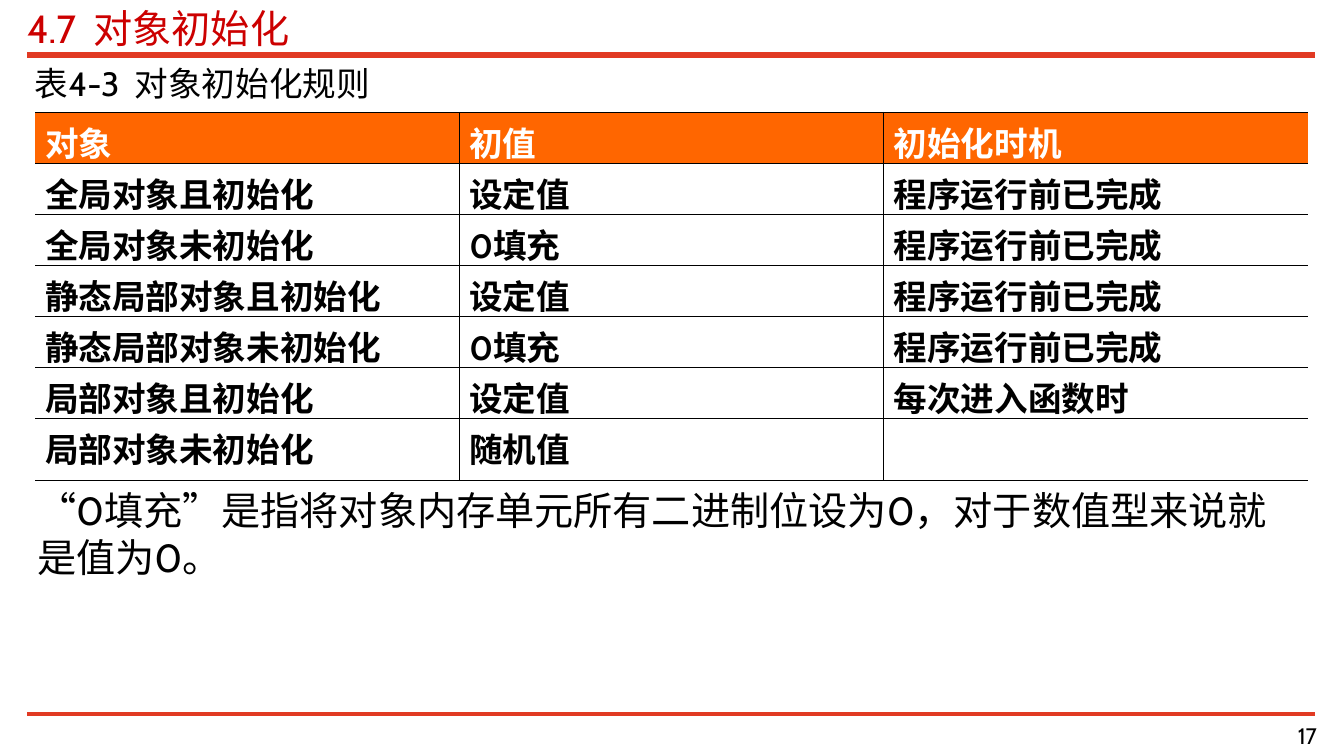
"""Build the slide on object initialization rules."""
import pptx
import pptx.dml.color
import pptx.enum.shapes
import pptx.enum.text
import pptx.oxml
import pptx.oxml.ns
import pptx.util

HEADING = "4.7  对象初始化"
CAPTION = "表4-3  对象初始化规则"
RULES = [
    ("对象", "初值", "初始化时机"),
    ("全局对象且初始化", "设定值", "程序运行前已完成"),
    ("全局对象未初始化", "0填充", "程序运行前已完成"),
    ("静态局部对象且初始化", "设定值", "程序运行前已完成"),
    ("静态局部对象未初始化", "0填充", "程序运行前已完成"),
    ("局部对象且初始化", "设定值", "每次进入函数时"),
    ("局部对象未初始化", "随机值", ""),
]
REMARK = "“0填充”是指将对象内存单元所有二进制位设为0，对于数值型来说就是值为0。"
PAGE_NUMBER = "17"

COLORS = {"rule": "E13A23", "heading": "CC0000", "text": "000000",
          "header_fill": "FF6600", "header_text": "FFFFFF"}
FONT = "Cabin"
SLIDE_SIZE = (1343, 755)
RULE_LEFT, RULE_RIGHT = 27, 1314
RULE_LINES = [(55, 4), (713, 3)]
TABLE_LEFT, TABLE_TOP = 35, 112
COLUMN_WIDTH, ROW_HEIGHT, LAST_ROW_HEIGHT = 424, 51, 62


def px(length):
    return pptx.util.Emu(length * 9080)


def rgb(name):
    return pptx.dml.color.RGBColor.from_string(COLORS[name])


def write(frame, text, size, color, margins=(0, 0), align=None):
    frame.word_wrap = True
    frame.margin_left = frame.margin_right = px(margins[0])
    frame.margin_top = frame.margin_bottom = px(margins[1])
    add_run(frame.paragraphs[0], text, size, color)
    frame.paragraphs[0].alignment = align or pptx.enum.text.PP_ALIGN.LEFT


def add_run(paragraph, text, size, color, bold=False):
    run = paragraph.add_run()
    run.text = text
    run.font.name = FONT
    run.font.size = pptx.util.Pt(size)
    run.font.bold = bold
    run.font.color.rgb = rgb(color)


def place(shape, left, top, width, height):
    shape.left, shape.top = px(left), px(top)
    shape.width, shape.height = px(width), px(height)


def add_text(slide, box, *args, **options):
    frame = slide.shapes.add_textbox(*map(px, box)).text_frame
    write(frame, *args, **options)


def add_rule(slide, y, weight):
    rule = slide.shapes.add_connector(
        pptx.enum.shapes.MSO_CONNECTOR.STRAIGHT,
        px(RULE_LEFT), px(y), px(RULE_RIGHT), px(y))
    rule.line.color.rgb = rgb("rule")
    rule.line.width = pptx.util.Pt(weight)
    rule._element.spPr.append(pptx.oxml.parse_xml(
        f'<a:effectLst {pptx.oxml.ns.nsdecls("a")}/>'))


def set_borders(cell, weights):
    properties = cell._tc.get_or_add_tcPr()
    for index, (side, weight) in enumerate(zip("LRTB", weights)):
        fill = (f'<a:solidFill><a:srgbClr val="{COLORS["text"]}"/></a:solidFill>'
                if weight else "<a:noFill/>")
        properties.insert(index, pptx.oxml.parse_xml(
            f'<a:ln{side} {pptx.oxml.ns.nsdecls("a")} '
            f'w="{int(pptx.util.Pt(weight))}">{fill}</a:ln{side}>'))


def add_rules_table(slide):
    last_row, last_column = len(RULES) - 1, len(RULES[0]) - 1
    table = slide.shapes.add_table(
        len(RULES), len(RULES[0]), px(TABLE_LEFT), px(TABLE_TOP),
        px(COLUMN_WIDTH * len(RULES[0])),
        px(ROW_HEIGHT * last_row + LAST_ROW_HEIGHT)).table
    table.first_row = table.horz_banding = False
    for column in table.columns:
        column.width = px(COLUMN_WIDTH)
    for r, values in enumerate(RULES):
        table.rows[r].height = px(LAST_ROW_HEIGHT if r == last_row else ROW_HEIGHT)
        for c, value in enumerate(values):
            cell = table.cell(r, c)
            cell.margin_left = cell.margin_right = px(10)
            cell.margin_top = cell.margin_bottom = px(5)
            if r == 0:
                cell.fill.solid()
                cell.fill.fore_color.rgb = rgb("header_fill")
            else:
                cell.fill.background()
            if value:
                add_run(cell.text_frame.paragraphs[0], value, 24,
                        "text" if r else "header_text", True)
            set_borders(cell, (0.45 if c else 0,
                               0.45 if c < last_column else 0,
                               0.62 if r < 2 else 0.45,
                               0.62 if r in (0, last_row) else 0.45))


def main():
    deck = pptx.Presentation()
    deck.slide_width, deck.slide_height = map(px, SLIDE_SIZE)
    slide = deck.slides.add_slide(deck.slide_layouts[5])
    for y, weight in RULE_LINES:
        add_rule(slide, y, weight)

    title = slide.shapes.title
    place(title, RULE_LEFT, 4, RULE_RIGHT - RULE_LEFT, 47)
    title.text_frame.auto_size = pptx.enum.text.MSO_AUTO_SIZE.NONE
    title.text_frame.vertical_anchor = pptx.enum.text.MSO_ANCHOR.MIDDLE
    write(title.text_frame, HEADING, 28, "heading")

    add_text(slide, (TABLE_LEFT, 63, 1273, 40), CAPTION, 24, "text")
    add_rules_table(slide)
    add_text(slide, (RULE_LEFT, 481, RULE_RIGHT - RULE_LEFT, 221), REMARK, 28,
             "text", margins=(10, 5))
    add_text(slide, (1046, 721, 270, 31), PAGE_NUMBER, 16, "text",
             align=pptx.enum.text.PP_ALIGN.RIGHT)
    deck.save("out.pptx")


if __name__ == "__main__":
    main()
